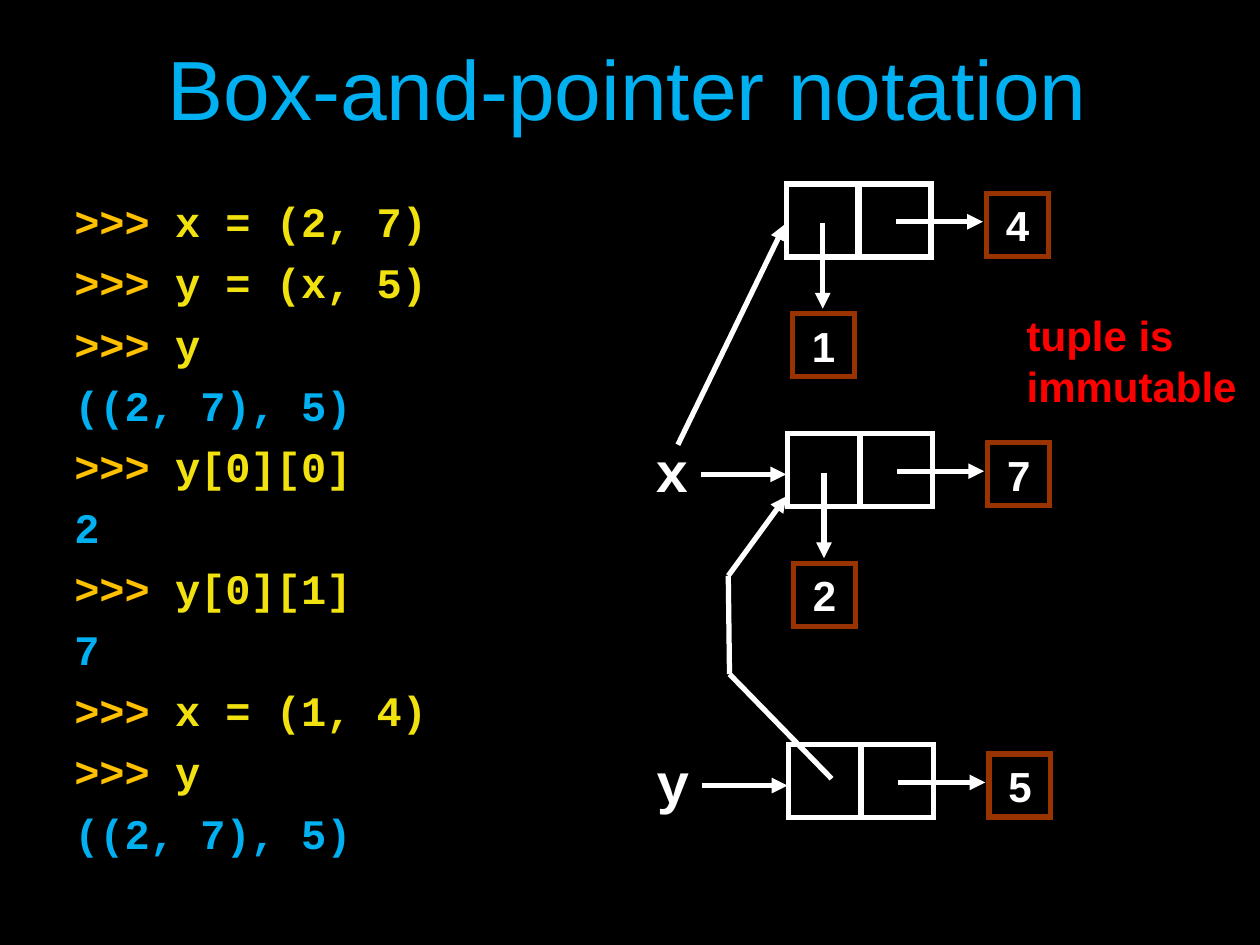
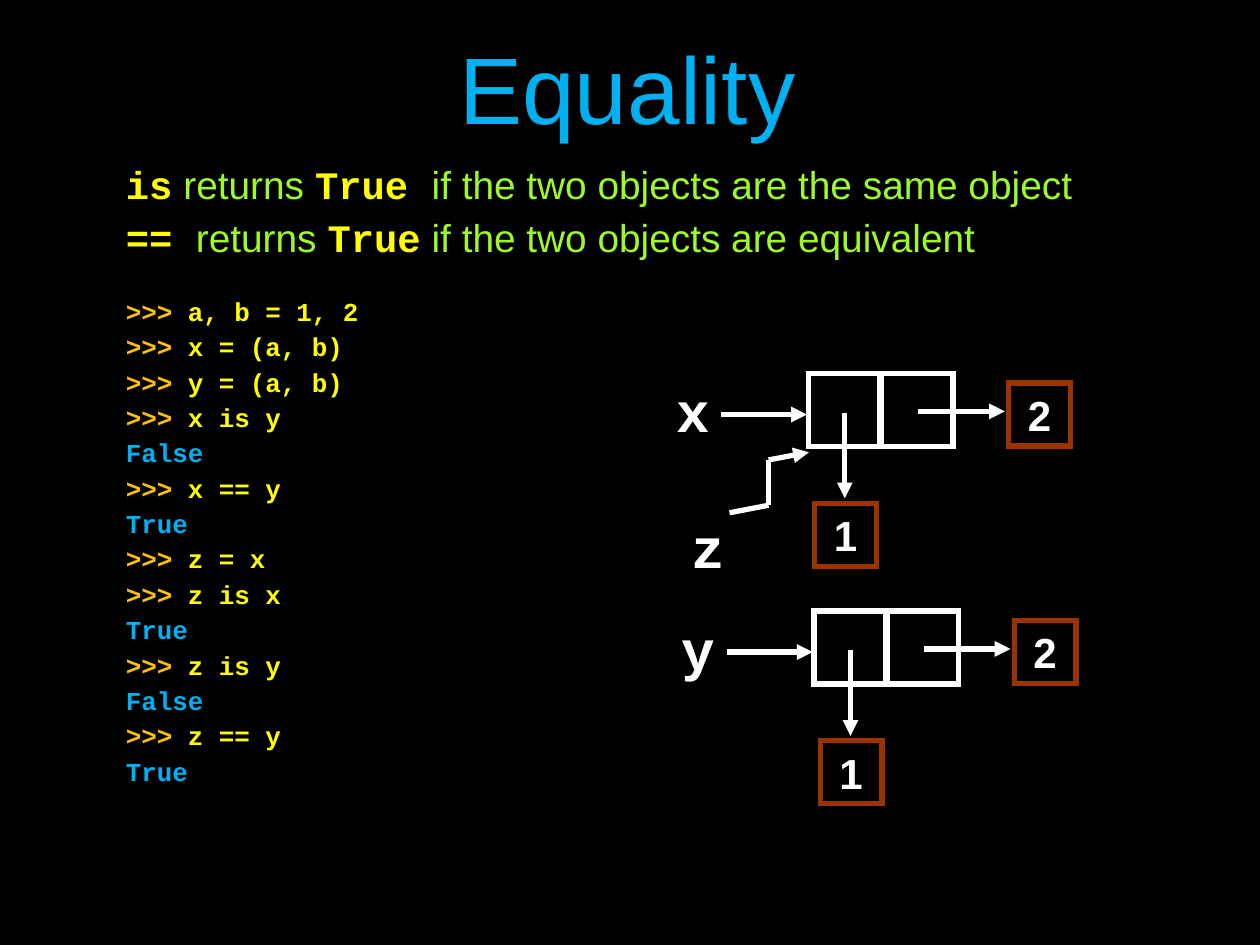
"""Build two slides on Python tuples, object identity and equality."""
from itertools import pairwise

from lxml import etree
from pptx import Presentation
from pptx import util as u
from pptx.dml.color import RGBColor
from pptx.enum import shapes, text
from pptx.oxml.ns import qn

COLORS = {
    "background": "000000",
    "title": "00B0F0",
    "prompt": "FFC000",
    "output": "00B0F0",
    "code": "F1E10F",
    "keyword": "FFFF00",
    "prose": "9FF828",
    "ink": "FFFFFF",
    "value": "993300",
    "warning": "FF0000",
}
SANS, MONO = "Arial", "Courier New"
COLUMNS, ROWS = 100, 75
BODY_MARGINS = (0.06, 0.06, 0.1, 0.06)
LABEL_MARGINS = (0.1, 0.05, 0.1, 0.05)


def rgb(name):
    """Return the palette colour of that name."""
    return RGBColor.from_string(COLORS[name])


def write(frame, paragraphs, *, size, font=SANS, color="ink", bold=False,
          align="LEFT", anchor="TOP", wrap=True, margins=BODY_MARGINS,
          leading=None, before=0):
    """Fill a text frame; a paragraph is a list of (text, run format) pairs."""
    frame.word_wrap = wrap
    frame.auto_size = text.MSO_AUTO_SIZE.NONE
    frame.vertical_anchor = getattr(text.MSO_ANCHOR, anchor)
    (frame.margin_left, frame.margin_top,
     frame.margin_right, frame.margin_bottom) = map(u.Inches, margins)
    for index, runs in enumerate(paragraphs):
        paragraph = frame.add_paragraph() if index else frame.paragraphs[0]
        paragraph.alignment = getattr(text.PP_ALIGN, align)
        paragraph.space_before = u.Pt(before if index else 0)
        if leading:
            paragraph.line_spacing = u.Pt(leading)
        for content, own in runs:
            look = {"font": font, "color": color, "bold": bold} | own
            for line_index, line in enumerate(content.split("\n")):
                if line_index:
                    paragraph.add_line_break()
                run = paragraph.add_run()
                run.text = line
                run.font.size = u.Pt(size)
                run.font.name = look["font"]
                run.font.bold = look["bold"]
                run.font.color.rgb = rgb(look["color"])


def session(lines, code_color):
    """Colour the prompt, input and output of an interpreter session."""
    paragraphs = []
    for line in lines.splitlines():
        if line.startswith(">>> "):
            paragraphs.append([(">>> ", {"color": "prompt"}),
                               (line.removeprefix(">>> "), {"color": code_color})])
        else:
            paragraphs.append([(line, {"color": "output"})])
    return paragraphs


class Deck:
    """Hold the style and the current slide, and draw on a 100 by 75 grid."""

    def __init__(self):
        """Start an empty 4:3 presentation."""
        self.presentation = Presentation()
        self.presentation.slide_width = u.Inches(10)
        self.presentation.slide_height = u.Inches(7.5)
        self.slide = None

    def place(self, *lengths):
        """Turn alternating columns and rows into slide lengths."""
        units = (self.presentation.slide_width / COLUMNS,
                 self.presentation.slide_height / ROWS)
        return [u.Emu(round(length * units[index % 2]))
                for index, length in enumerate(lengths)]

    def new_slide(self, title, size, middle):
        """Add a black slide with a title centred on the given row."""
        self.slide = self.presentation.slides.add_slide(
            self.presentation.slide_layouts[6])
        fill = self.slide.background.fill
        fill.solid()
        fill.fore_color.rgb = rgb("background")
        self.text((5, middle - 6.2, 90, 12.4), [[(title, {})]], size=size,
                  color="title", align="CENTER", anchor="MIDDLE")

    def text(self, area, paragraphs, **style):
        """Add a text box."""
        box = self.slide.shapes.add_textbox(*self.place(*area))
        write(box.text_frame, paragraphs, **style)

    def label(self, name, left, top):
        """Add a variable name."""
        self.text((left, top, 4.7, 6.3), [[(name, {})]], size=32, font=MONO,
                  bold=True, align="CENTER", wrap=False, margins=LABEL_MARGINS)

    def square(self, area, color, content=None):
        """Add a sharp-cornered box, with a value in it if given."""
        shape = self.slide.shapes.add_shape(
            shapes.MSO_SHAPE.RECTANGLE, *self.place(*area))
        shape.shadow.inherit = False
        shape.fill.background()
        shape.line.color.rgb = rgb(color)
        shape.line.width = u.Pt(3)
        outline = shape.element.spPr.find(qn("a:ln"))
        etree.SubElement(outline, qn("a:miter"), lim="800000")
        if content:
            write(shape.text_frame, [[(content, {})]], size=24, bold=True,
                  align="CENTER", anchor="MIDDLE", wrap=False, margins=(0,) * 4)

    def pointer(self, *points):
        """Join the points with lines, the last ending in an arrowhead."""
        for start, end in pairwise(points):
            connector = self.slide.shapes.add_connector(
                shapes.MSO_CONNECTOR.STRAIGHT, *self.place(*start, *end))
            connector.line.color.rgb = rgb("ink")
            connector.line.width = u.Pt(3)
            properties = connector.element.spPr
            etree.SubElement(properties, qn("a:effectLst"))
        etree.SubElement(properties.find(qn("a:ln")), qn("a:tailEnd"), type="triangle")

    def pair(self, left, top, second, first=None, name=None):
        """Draw a two-cell tuple with pointers to its values and from its name."""
        for cell in range(2):
            self.square((left + cell * 5.8, top, 5.7, 5.8), "ink")
        self.square((left + 15.9, top + 0.75, 4.9, 5), "value", second)
        self.pointer((left + 8.7, top + 3), (left + 15.6, top + 3))
        if first:
            self.square((left + 0.5, top + 10.3, 4.9, 5), "value", first)
            self.pointer((left + 2.9, top + 3.1), (left + 2.9, top + 9.9))
        if name:
            self.label(name, left - 11.5, top - 0.25)
            self.pointer((left - 6.9, top + 3.25), (left - 0.1, top + 3.25))


SESSION_TUPLES = """\
>>> x = (2, 7)
>>> y = (x, 5)
>>> y
((2, 7), 5)
>>> y[0][0]
2
>>> y[0][1]
7
>>> x = (1, 4)
>>> y
((2, 7), 5)"""

SESSION_EQUALITY = """\
>>> a, b = 1, 2
>>> x = (a, b)
>>> y = (a, b)
>>> x is y
False
>>> x == y
True
>>> z = x
>>> z is x
True
>>> z is y
False
>>> z == y
True"""


def build_notation(deck):
    """Show nested tuples as boxes and pointers."""
    deck.new_slide("Box-and-pointer notation", 48, middle=6.9)
    deck.text((5.3, 15.35, 45, 56), session(SESSION_TUPLES, "code"),
              size=24, font=MONO, bold=True, leading=25.9, before=9)
    deck.pair(62.4, 14.6, "4", first="1")
    deck.pair(62.5, 34.4, "7", first="2", name="x")
    deck.pair(62.6, 59.1, "5", name="y")
    deck.pointer((53.8, 35.3), (62.3, 17.8))
    deck.pointer((66, 61.8), (57.9, 53.5), (57.8, 45.7), (62.4, 39.4))
    deck.text((80.5, 24.1, 18.6, 9), [[("tuple is\nimmutable", {})]], size=24,
              color="warning", bold=True, wrap=False, margins=LABEL_MARGINS)


def build_equality(deck):
    """Contrast identity with equivalence."""
    deck.new_slide("Equality", 54, middle=6.85)
    keyword = {"font": MONO, "color": "keyword", "bold": True}
    rules = [
        [("is", keyword), (" returns ", {}), ("True ", keyword),
         ("if the two objects are the same object", {})],
        [("== ", keyword), ("returns ", {}), ("True", keyword),
         (" if the two objects are equivalent", {})],
    ]
    deck.text((9.4, 12.9, 87, 9), rules, size=22.2, color="prose",
              leading=21.3, before=9)
    deck.text((9.4, 23.35, 40, 41), session(SESSION_EQUALITY, "keyword"),
              size=14.8, font=MONO, bold=True, leading=14.2, before=6)
    deck.pair(64.15, 29.65, "2", first="1", name="x")
    deck.pair(64.6, 48.5, "2", first="1", name="y")
    deck.label("z", 53.9, 40.2)
    deck.pointer((57.9, 40.7), (61, 40.1), (61, 36.5), (64.2, 35.9))


def main():
    """Build and save the slides."""
    deck = Deck()
    build_notation(deck)
    build_equality(deck)
    deck.presentation.save("out.pptx")


if __name__ == "__main__":
    main()
